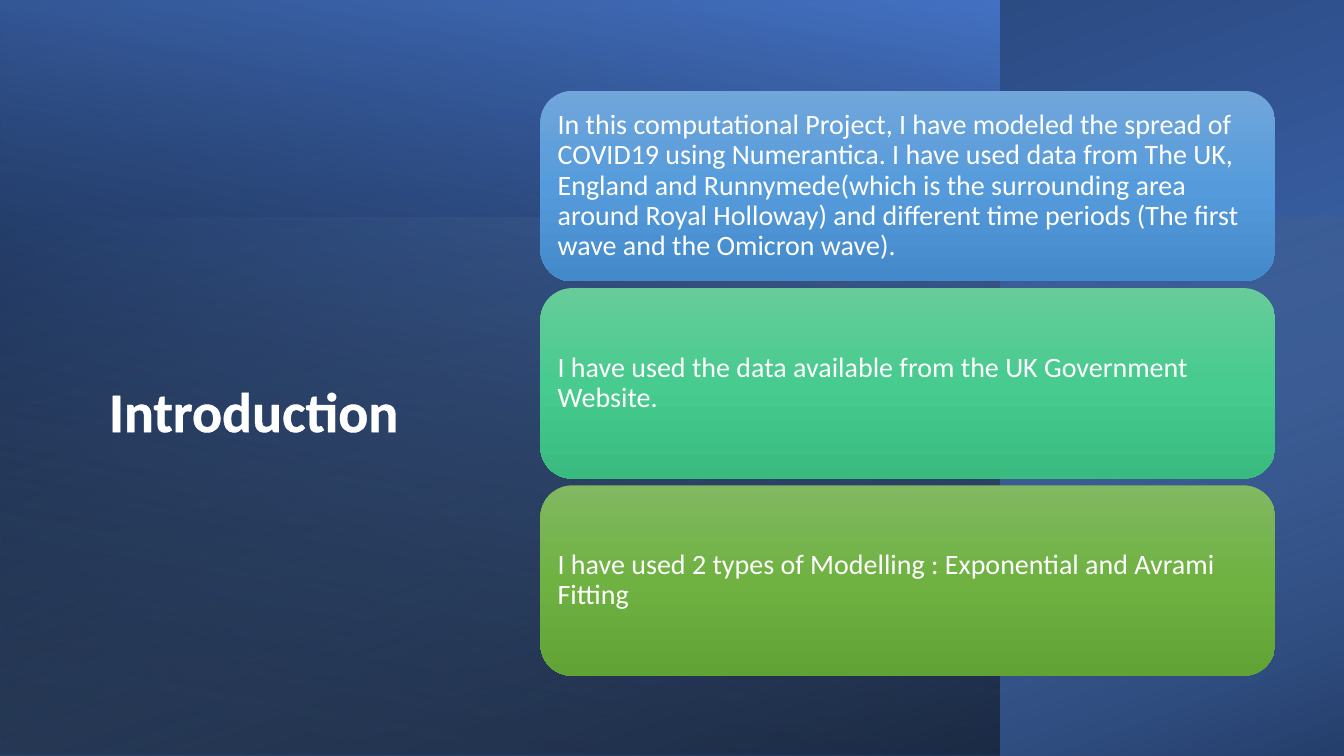
import lxml.etree
import pptx
import pptx.dml.color
import pptx.enum.shapes
import pptx.enum.text
import pptx.oxml.ns
import pptx.util

Cm = pptx.util.Cm
RGBColor = pptx.dml.color.RGBColor
SHAPE = pptx.enum.shapes.MSO_SHAPE
ALIGN = pptx.enum.text.PP_ALIGN
ANCHOR = pptx.enum.text.MSO_ANCHOR
qn = pptx.oxml.ns.qn

WHITE = RGBColor(0xFF, 0xFF, 0xFF)
BLACK = RGBColor(0x00, 0x00, 0x00)
BLUE = RGBColor(0x44, 0x72, 0xC4)
NAVY = RGBColor(0x20, 0x38, 0x64)
PALE_BLUE = RGBColor(0x9D, 0xC3, 0xE6)
SKY_CARD = [RGBColor(0x71, 0xA6, 0xDB), RGBColor(0x55, 0x9B, 0xDB), RGBColor(0x44, 0x8A, 0xCA)]
MINT_CARD = [RGBColor(0x67, 0xCC, 0x9A), RGBColor(0x47, 0xCB, 0x8E), RGBColor(0x39, 0xBB, 0x7F)]
LEAF_CARD = [RGBColor(0x81, 0xB8, 0x61), RGBColor(0x6F, 0xB2, 0x42), RGBColor(0x62, 0xA3, 0x36)]

SLIDE_W, SLIDE_H = 33.87, 19.05


def add_gradient_shape(kind, left, top, width, height, stops, angle):
    """Add a borderless shape; stops are (position %, colour, opacity %), angle runs clockwise."""
    shape = slide.shapes.add_shape(kind, Cm(left), Cm(top), Cm(width), Cm(height))
    shape.shadow.inherit = False
    shape.line.fill.background()
    shape.fill.gradient()
    shape.fill.gradient_angle = 360 - angle
    stop_list = shape.element.spPr.find(qn("a:gradFill")).find(qn("a:gsLst"))
    for default_stop in list(stop_list):
        stop_list.remove(default_stop)
    for position, colour, opacity in stops:
        stop = lxml.etree.SubElement(stop_list, qn("a:gs"), pos=str(position * 1000))
        rgb = lxml.etree.SubElement(stop, qn("a:srgbClr"), val=str(colour))
        if opacity < 100:
            lxml.etree.SubElement(rgb, qn("a:alpha"), val=str(opacity * 1000))
    return shape


def write_text(shape, text, *, size, anchor, align=ALIGN.LEFT, bold=False,
               space_after=0, inset=None, outline=None):
    frame = shape.text_frame
    frame.word_wrap = True
    frame.vertical_anchor = anchor
    if inset is not None:
        frame.margin_left = frame.margin_right = Cm(inset)
        frame.margin_top = frame.margin_bottom = Cm(inset)
    paragraph = frame.paragraphs[0]
    paragraph.alignment = align
    paragraph.line_spacing = 0.9
    paragraph.space_after = pptx.util.Pt(space_after)
    run = paragraph.add_run()
    run.text = text
    run.font.name = "Calibri"
    run.font.size = pptx.util.Pt(size)
    run.font.bold = bold
    run.font.color.rgb = WHITE
    if outline is not None:
        line = lxml.etree.Element(qn("a:ln"), w=str(pptx.util.Pt(outline)))
        line_fill = lxml.etree.SubElement(line, qn("a:solidFill"))
        lxml.etree.SubElement(line_fill, qn("a:srgbClr"), val=str(WHITE))
        run.font._element.insert(0, line)


presentation = pptx.Presentation()
presentation.slide_width = Cm(SLIDE_W)
presentation.slide_height = Cm(SLIDE_H)
slide = presentation.slides.add_slide(presentation.slide_layouts[6])

# Layered backdrop: left, top, width, height, rotation, stops, angle
side = (SLIDE_W - SLIDE_H) / 2
backdrop = [
    (side, -side, SLIDE_H, SLIDE_W, 270, [(8, BLUE, 100), (100, NAVY, 100)], 200),
    (0, 0, 25.2, SLIDE_H, 180, [(8, BLACK, 52), (100, BLUE, 100)], 80),
    (10.13, -4.67, 13.59, 33.88, 270, [(0, PALE_BLUE, 0), (100, BLACK, 46)], 20),
]
for left, top, width, height, rotation, stops, angle in backdrop:
    layer = add_gradient_shape(SHAPE.RECTANGLE, left, top, width, height, stops, angle)
    layer.rotation = rotation
    layer.element.spPr.find(qn("a:xfrm")).set("flipH", "1")

title = slide.shapes.add_textbox(Cm(1.63), Cm(4.67), Cm(8.66), Cm(6.65))
write_text(title, "Introduction", size=40, bold=True, align=ALIGN.RIGHT,
           anchor=ANCHOR.BOTTOM, space_after=6, outline=0.75)

CARD_LEFT, CARD_TOP, CARD_W, CARD_H, CARD_PITCH = 13.62, 2.29, 18.52, 4.8, 4.97
cards = [
    (SKY_CARD, "In this computational Project, I have modeled the spread of COVID19 using "
               "Numerantica. I have used data from The UK, England and Runnymede(which is the "
               "surrounding area around Royal Holloway) and different time periods (The first "
               "wave and the Omicron wave)."),
    (MINT_CARD, "I have used the data available from the UK Government Website."),
    (LEAF_CARD, "I have used 2 types of Modelling : Exponential and Avrami Fitting"),
]
for row, (colours, statement) in enumerate(cards):
    stops = [(50 * step, colour, 100) for step, colour in enumerate(colours)]
    card = add_gradient_shape(SHAPE.ROUNDED_RECTANGLE, CARD_LEFT, CARD_TOP + row * CARD_PITCH,
                              CARD_W, CARD_H, stops, 90)
    write_text(card, statement, size=20, anchor=ANCHOR.MIDDLE, space_after=7, inset=0.2)

presentation.save("out.pptx")
